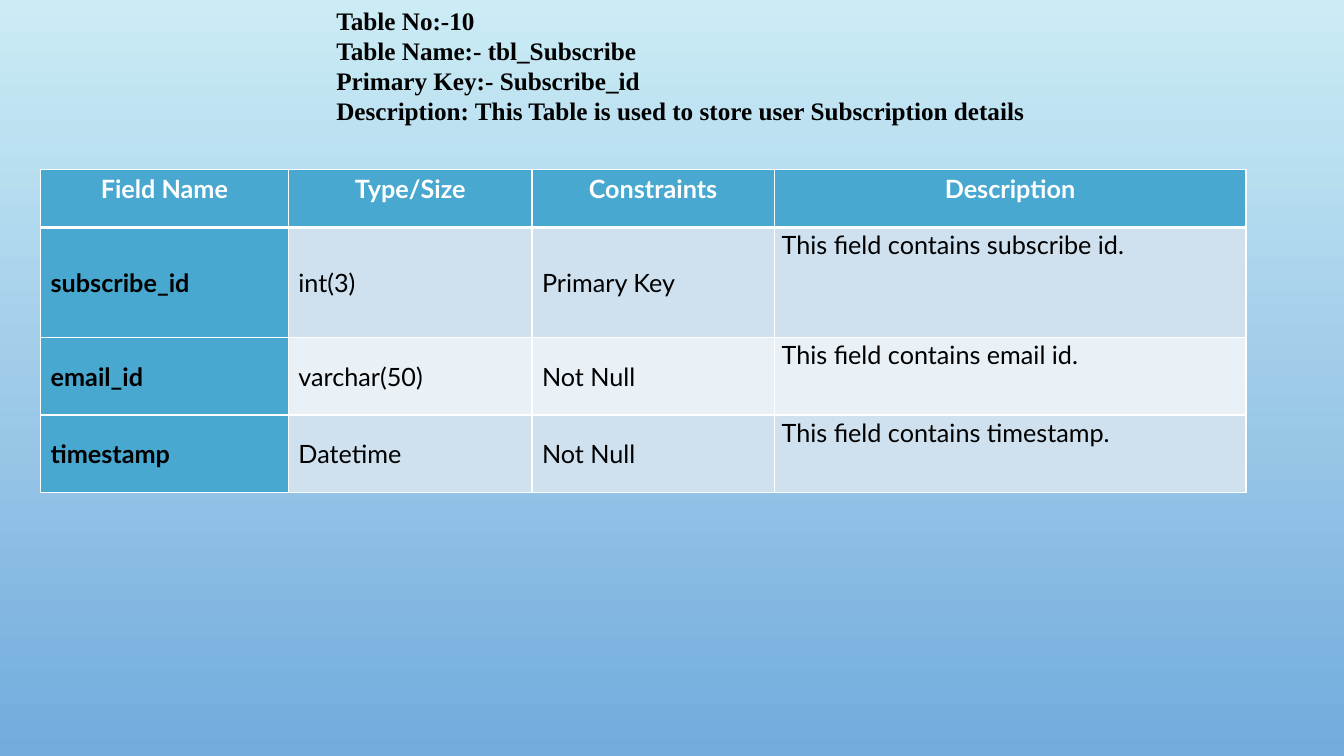
from dataclasses import dataclass

from lxml.etree import SubElement
from pptx import Presentation
from pptx.dml.color import RGBColor as RGB
from pptx.enum.text import MSO_ANCHOR as ANCHOR, PP_ALIGN as ALIGN
from pptx.oxml.ns import qn
from pptx.util import Pt


@dataclass(frozen=True)
class Theme:
    """Colours, fonts and type size of the slide."""
    sky: tuple = ("CBECF5", "73ABDD")
    accent: str = "48A8D0"
    bands: tuple = ("CFE1EE", "E9F1F7")
    light: str = "FFFFFF"
    dark: str = "000000"
    heading_font: str = "Times New Roman"
    table_font: str = "Lato"
    size: int = 18
    rule: int = 1
    header_rule: int = 3


THEME = Theme()
HEADING = [
    "Table No:-10",
    "Table Name:- tbl_Subscribe",
    "Primary Key:- Subscribe_id",
    "Description: This Table is used to store user Subscription details",
]
FIELDS = [
    ["Field Name", "Type/Size", "Constraints", "Description"],
    ["subscribe_id", "int(3)", "Primary Key", "This field contains subscribe id."],
    ["email_id", "varchar(50)", "Not Null", "This field contains email id."],
    ["timestamp", "Datetime", "Not Null", "This field contains timestamp."],
]
COL_WIDTHS = [177, 174, 173, 337]
ROW_HEIGHTS = [41.5, 78.5, 55.5, 55.5]
HEADER_PARA = {"alignment": ALIGN.CENTER, "line_spacing": 1.15, "space_after": Pt(8)}
DESCRIPTION_PARA = {"line_spacing": 1.07, "space_after": Pt(8)}
TIGHT_CELL = {"margin_left": Pt(5.4), "margin_right": Pt(5.4),
              "margin_top": 0, "margin_bottom": 0}
MIDDLE_CELL = {"vertical_anchor": ANCHOR.MIDDLE}


def apply(obj, values):
    """Set each attribute of obj from a dict."""
    for name, value in values.items():
        setattr(obj, name, value)


def write(p, text, font, color, bold):
    """Add one formatted run to a paragraph."""
    r = p.add_run()
    r.text = text
    apply(r.font, {"name": font, "size": Pt(THEME.size), "bold": bold})
    r.font.color.rgb = RGB.from_string(color)


def paint_background(s):
    """Fill the slide with a gradient running from top to bottom."""
    fill = s.background.fill
    fill.gradient()
    fill.gradient_angle = 270
    for stop, color in zip(fill.gradient_stops, THEME.sky):
        stop.color.rgb = RGB.from_string(color)


def add_heading(s, left, top, width, height):
    """Place the table's summary lines in the title placeholder."""
    sp = s.shapes.title
    apply(sp, {"left": Pt(left), "top": Pt(top),
               "width": Pt(width), "height": Pt(height)})
    tf = sp.text_frame
    apply(tf, {"word_wrap": True, "vertical_anchor": ANCHOR.TOP})
    for i, line in enumerate(HEADING):
        p = tf.add_paragraph() if i else tf.paragraphs[0]
        p.alignment = ALIGN.LEFT
        write(p, line, THEME.heading_font, THEME.dark, True)


def set_borders(cell, row):
    """Rule all four sides, heavier between header and body."""
    heavy = {0: "lnB", 1: "lnT"}.get(row)
    for side in ("lnL", "lnR", "lnT", "lnB"):
        weight = THEME.header_rule if side == heavy else THEME.rule
        ln = SubElement(cell._tc.get_or_add_tcPr(), qn(f"a:{side}"), w=str(Pt(weight)))
        fill = SubElement(ln, qn("a:solidFill"))
        SubElement(fill, qn("a:srgbClr"), val=THEME.light)


def format_cell(cell, row, col, text):
    """Style and fill one cell according to its place in the table."""
    header, key, description = row == 0, col == 0, col == len(COL_WIDTHS) - 1
    set_borders(cell, row)
    cell.fill.solid()
    band = THEME.bands[(row - 1) % 2]
    cell.fill.fore_color.rgb = RGB.from_string(THEME.accent if header or key else band)
    apply(cell, TIGHT_CELL if header or description else MIDDLE_CELL)
    p = cell.text_frame.paragraphs[0]
    apply(p, HEADER_PARA if header else DESCRIPTION_PARA if description else {})
    color = THEME.light if header else THEME.dark
    write(p, text, THEME.table_font, color, header or key)


def add_fields(s, left, top, width, height):
    """Place the table of fields."""
    frame = s.shapes.add_table(len(FIELDS), len(COL_WIDTHS),
                               Pt(left), Pt(top), Pt(width), Pt(height))
    table = frame.table
    table.first_col = True
    for column, w in zip(table.columns, COL_WIDTHS):
        column.width = Pt(w)
    for line, h in zip(table.rows, ROW_HEIGHTS):
        line.height = Pt(h)
    for row, texts in enumerate(FIELDS):
        for col, text in enumerate(texts):
            format_cell(table.cell(row, col), row, col, text)


def main():
    """Build the slide and save it."""
    prs = Presentation()
    apply(prs, {"slide_width": Pt(960), "slide_height": Pt(540)})
    s = prs.slides.add_slide(prs.slide_layouts[5])
    paint_background(s)
    add_fields(s, 29, 121, sum(COL_WIDTHS), sum(ROW_HEIGHTS))
    add_heading(s, 233, 0, 612, 94.5)
    prs.save("out.pptx")


if __name__ == "__main__":
    main()
